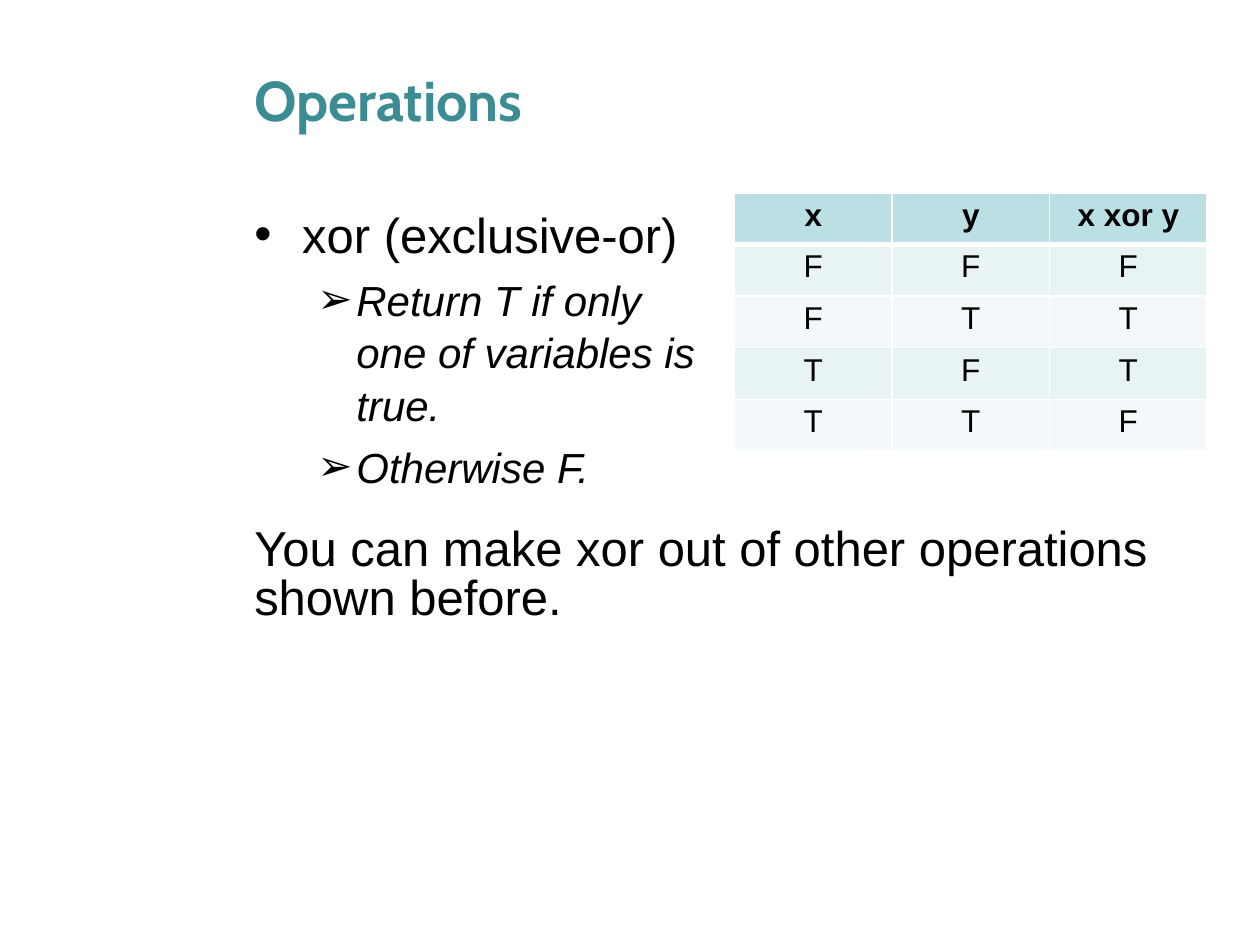
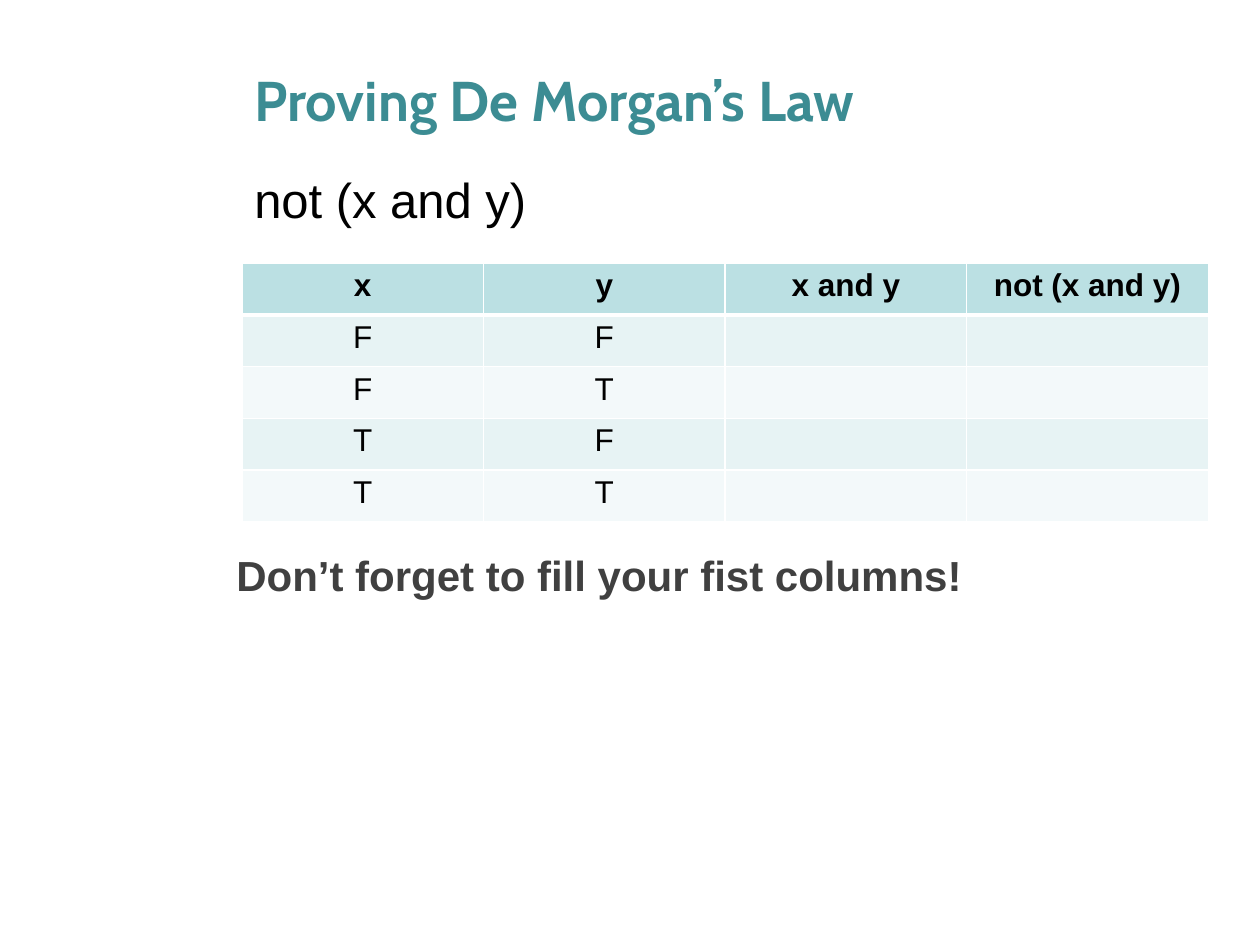
from lxml import etree
from pptx import Presentation
from pptx.dml.color import RGBColor
from pptx.enum import text as t
from pptx.oxml import ns
from pptx.util import Inches, Pt

TEAL = RGBColor(0x3C, 0x8C, 0x93)
BLACK = RGBColor(0, 0, 0)
GRAY = RGBColor(0x40, 0x40, 0x40)
WHITE = RGBColor(0xFF, 0xFF, 0xFF)
HEAD = RGBColor(0xBB, 0xE0, 0xE3)
BANDS = RGBColor(0xE7, 0xF3, 0xF4), RGBColor(0xF3, 0xF9, 0xFA)

LEFT, WIDE = 1.92, 7.67
ROW = 0.41
LOOSE, TIGHT = 1.05, 0.83
INPUTS = ["FF", "FT", "TF", "TT"]


def node(parent, tag, **attrs):
    return etree.SubElement(parent, ns.qn(tag), attrs)


def write(frame, words, size=28, color=BLACK, font="Arial", bold=False,
          italic=False, align=t.PP_ALIGN.LEFT, lead=LOOSE, before=0,
          bullet=None, indent=0, hang=0):
    """Fill the empty first paragraph of the frame, or add one below."""
    para = frame.paragraphs[0]
    if para.runs:
        para = frame.add_paragraph()
    if bullet:
        props = para._p.get_or_add_pPr()
        props.set("marL", str(Inches(indent)))
        props.set("indent", str(Inches(-hang)))
        node(props, "a:buFont", typeface="Arial")
        node(props, "a:buChar", char=bullet)
    para.alignment = align
    para.line_spacing = lead
    para.space_before = Pt(before)
    if words:
        run = para.add_run()
        run.text = words
        run.font.name = font
        run.font.size = Pt(size)
        run.font.bold = bold
        run.font.italic = italic
        run.font.color.rgb = color


def area(slide, left, top, width, height, wrap=True):
    frame = slide.shapes.add_textbox(
        Inches(left), Inches(top), Inches(width), Inches(height)).text_frame
    frame.word_wrap = wrap
    return frame


def title(slide, words):
    frame = area(slide, LEFT, 0.33, WIDE, 0.92)
    frame.vertical_anchor = t.MSO_ANCHOR.MIDDLE
    write(frame, words, size=32, color=TEAL, font="Cabin", bold=True, lead=1.0)


def edge(cell, top, bottom):
    """Draw white cell borders; top and bottom are widths in points."""
    props = cell._tc.get_or_add_tcPr()
    for side, width in zip("LRTB", (1, 1, top, bottom)):
        line = node(props, f"a:ln{side}", w=str(Pt(width)))
        node(node(line, "a:solidFill"), "a:srgbClr", val=str(WHITE))


def truth(slide, left, top, width, heads, rows):
    """Draw a truth table; cells missing at the end of a row stay empty."""
    count = len(heads)
    lines = [heads, *rows]
    grid = slide.shapes.add_table(
        len(lines), count, Inches(left), Inches(top),
        Inches(width), Inches(ROW * len(lines))).table
    for col in grid.columns:
        col.width = Inches(width / count)
    for r, line in enumerate(lines):
        grid.rows[r].height = Inches(ROW)
        for c in range(count):
            cell = grid.cell(r, c)
            edge(cell, 3 if r == 1 else 1, 3 if r == 0 else 1)
            cell.fill.solid()
            cell.fill.fore_color.rgb = BANDS[(r - 1) % 2] if r else HEAD
            cell.margin_top = Inches(0.08)
            cell.margin_bottom = Inches(0.03)
            write(cell.text_frame, line[c] if c < len(line) else "",
                  size=18, bold=r == 0, align=t.PP_ALIGN.CENTER, lead=TIGHT)


def xor(slide):
    title(slide, "Operations")
    body = area(slide, LEFT, 1.55, 3.75, 5)
    write(body, "xor (exclusive-or)", bullet="•", indent=0.38, hang=0.38)
    for words in ("Return T if only one of variables is true.",
                  "Otherwise F."):
        write(body, words, size=24, italic=True, before=4.8,
              bullet="➢", indent=0.81, hang=0.31)
    rows = [pair + ("T" if pair[0] != pair[1] else "F") for pair in INPUTS]
    truth(slide, 5.83, 1.53, 3.75, ["x", "y", "x xor y"], rows)
    write(area(slide, LEFT, 4.14, WIDE, 0.85),
          "You can make xor out of other operations shown before.", lead=TIGHT)


def proof(slide):
    title(slide, "Proving De Morgan’s Law")
    write(area(slide, LEFT, 1.27, WIDE, 0.71), "not (x and y)")
    truth(slide, LEFT, 2.09, WIDE,
          ["x", "y", "x and y", "not (x and y)"], INPUTS)
    write(area(slide, 1.75, 4.38, 6.01, 0.42, wrap=False),
          "Don’t forget to fill your fist columns!", size=24, color=GRAY,
          bold=True, align=t.PP_ALIGN.CENTER, lead=TIGHT)


def main():
    deck = Presentation()
    deck.slide_width, deck.slide_height = Inches(10), Inches(7.5)
    for build in (xor, proof):
        build(deck.slides.add_slide(deck.slide_layouts[6]))
    deck.save("out.pptx")


if __name__ == "__main__":
    main()
